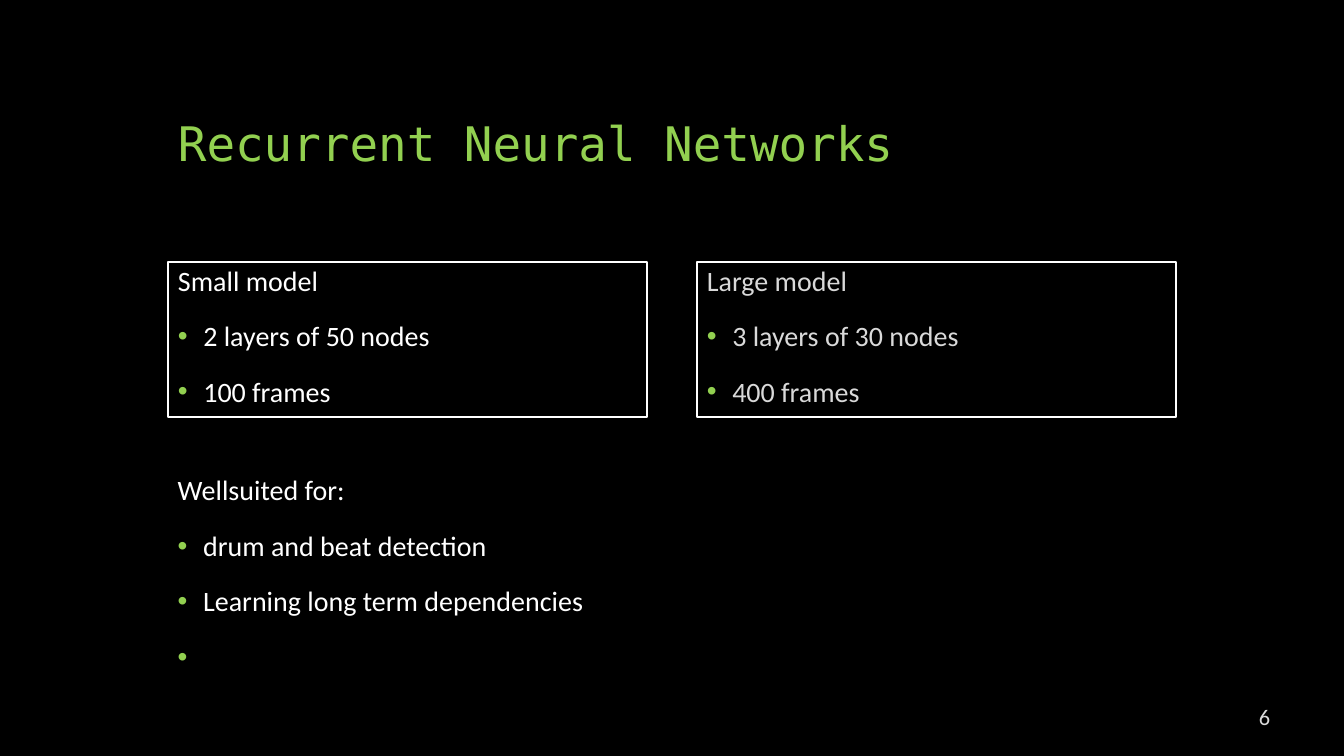
"""Build the slide that compares two recurrent neural network models."""
from lxml import etree
from pptx import Presentation
from pptx.dml.color import RGBColor
from pptx.enum.text import MSO_ANCHOR, MSO_AUTO_SIZE, PP_ALIGN
from pptx.oxml.ns import qn
from pptx.util import Cm, Pt

LEFT, RIGHT = PP_ALIGN.LEFT, PP_ALIGN.RIGHT
TOP, MIDDLE, BOTTOM = MSO_ANCHOR.TOP, MSO_ANCHOR.MIDDLE, MSO_ANCHOR.BOTTOM
NO_FIT = MSO_AUTO_SIZE.NONE

BLACK, WHITE, GREY, GREEN = "000000", "FFFFFF", "D9D9D9", "92D050"
MARGIN, CONTENT_WIDTH = 4.23, 25.4
MODEL_WIDTH, MODEL_HEIGHT = 12.07, 3.91


def color(hex_string):
    return RGBColor.from_string(hex_string)


def write(box, lines, place, size=20, font="Calibri", ink=WHITE,
          anchor=TOP, align=LEFT, line_spacing=0.9):
    """Place a box and fill it with a first line followed by bullets."""
    box.left, box.top, box.width, box.height = [Cm(length) for length in place]
    frame = box.text_frame
    frame.word_wrap = True
    frame.auto_size = NO_FIT
    frame.vertical_anchor = anchor
    for index, line in enumerate(lines):
        para = frame.add_paragraph() if index else frame.paragraphs[0]
        properties = para._p.get_or_add_pPr()
        if index:
            properties.set("marL", str(Cm(0.64)))
            properties.set("indent", str(Cm(-0.64)))
            bullet_color = etree.SubElement(properties, qn("a:buClr"))
            etree.SubElement(bullet_color, qn("a:srgbClr"), val=GREEN)
            etree.SubElement(properties, qn("a:buFont"), typeface="Arial")
            etree.SubElement(properties, qn("a:buChar"), char="•")
        else:
            properties.set("marL", "0")
            properties.set("indent", "0")
            etree.SubElement(properties, qn("a:buNone"))
        para.alignment = align
        para.line_spacing = line_spacing
        para.space_before = Pt(18 if index else 0)
        span = para.add_run()
        span.text = line
        span.font.size = Pt(size)
        span.font.name = font
        span.font.color.rgb = color(ink)


deck = Presentation()
deck.slide_width, deck.slide_height = Cm(33.87), Cm(19.05)
page = deck.slides.add_slide(deck.slide_layouts.get_by_name("Two Content"))
page.background.fill.solid()
page.background.fill.fore_color.rgb = color(BLACK)

title, small_model, large_model = page.placeholders
write(title, ["Recurrent Neural Networks"], (MARGIN, 1.27, CONTENT_WIDTH, 3.18),
      size=34, font="DejaVu Sans Mono", ink=GREEN, anchor=BOTTOM)

models = [
    (small_model, MARGIN, WHITE,
     ["Small model", "2 layers of 50 nodes", "100 frames"]),
    (large_model, MARGIN + CONTENT_WIDTH - MODEL_WIDTH, GREY,
     ["Large model", "3 layers of 30 nodes", "400 frames"]),
]
for box, left, ink, lines in models:
    write(box, lines, (left, 6.6, MODEL_WIDTH, MODEL_HEIGHT), ink=ink)
    box.fill.solid()
    box.fill.fore_color.rgb = color(BLACK)
    box.line.color.rgb = color(WHITE)
    box.line.width = Pt(1.5)

uses = page.shapes.add_textbox(0, 0, 0, 0)
write(uses, ["Wellsuited for:", "drum and beat detection",
             "Learning long term dependencies", " "],
      (MARGIN, 11.89, CONTENT_WIDTH, 5.51))
uses.fill.solid()
uses.fill.fore_color.rgb = color(BLACK)

page_number = page.shapes.add_textbox(0, 0, 0, 0)
write(page_number, ["6"], (29.92, 17.7, 2.34, 0.71), size=16, ink=GREY,
      anchor=MIDDLE, align=RIGHT, line_spacing=1.0)

deck.save("out.pptx")
